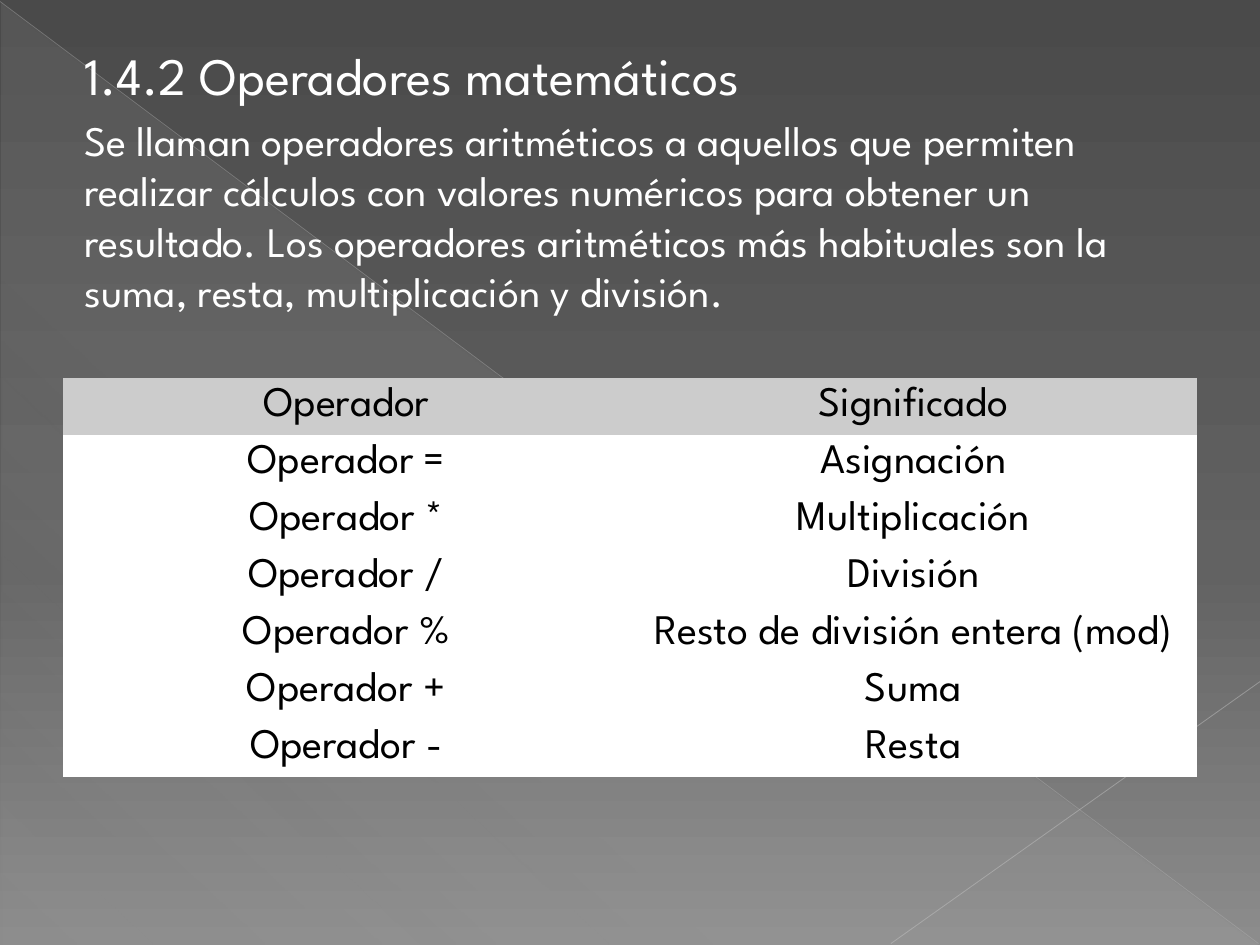
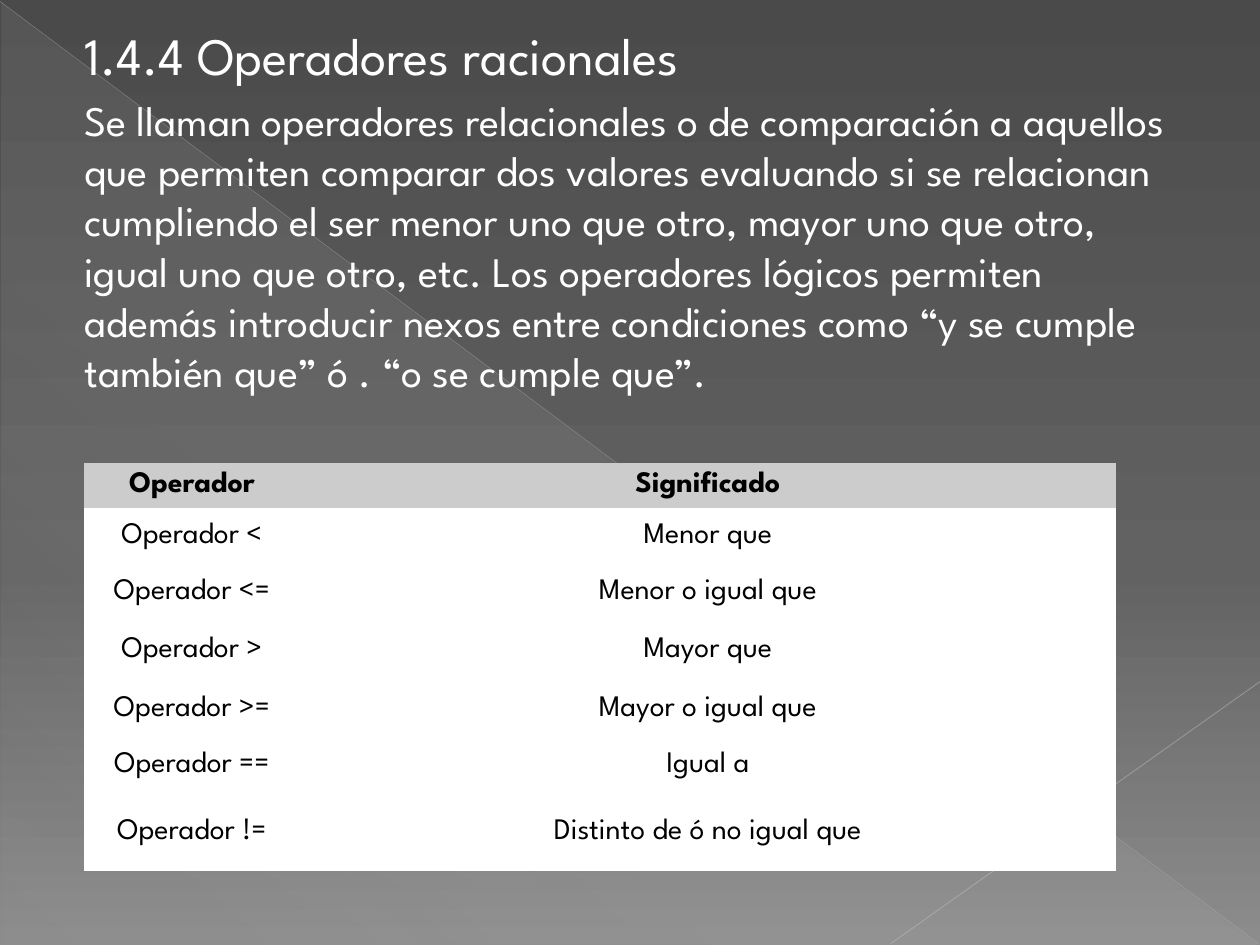
import pptx
import pptx.util
import pptx.dml.color
import pptx.enum.shapes
import pptx.enum.text
import pptx.oxml
import pptx.oxml.ns
from pptx.util import Cm, Pt

FONT = "League Spartan"
COLORS = {
    "text": "FFFFFF", "cell_text": "000000", "header": "CCCCCC", "cell": "FFFFFF",
    "triangle": "D2D2D2", "diagonal": "BFBFBF", "corner": "C6C6C6",
    "bg_top": "4A4A4A", "bg_middle": "626262", "bg_bottom": "8C8C8C",
}
BACKGROUND = [(0, "bg_top", 100), (60, "bg_middle", 100), (100, "bg_bottom", 100)]
TRIANGLE = [(0, "triangle", 10), (70, "triangle", 8), (100, "triangle", 1)]
LINES = [
    ((0, 0.03, 25.37, 19.02), "diagonal", 0.39, 35),
    ((25.4, 13.74, 17.96, 19.02), "corner", 0.47, 45),
]
NO_TABLE_STYLE = "{2D5ABB26-0587-4C30-8999-92F81FD0307C}"

SLIDES = [
    {
        "title": "1.4.2 Operadores matemáticos",
        "body": "Se llaman operadores aritméticos a aquellos que permiten realizar cálculos "
                "con valores numéricos para obtener un resultado. Los operadores aritméticos "
                "más habituales son la suma, resta, multiplicación y división.",
        "top": 0.74,
        "body_height": 5.2,
        "table_at": (1.27, 7.62),
        "cols": [11.43, 11.43],
        "row_heights": [1.15] * 7,
        "size": 24,
        "bold_header": False,
        "rows": [
            ("Operador", "Significado"),
            ("Operador =", "Asignación"),
            ("Operador *", "Multiplicación"),
            ("Operador /", "División"),
            ("Operador %", "Resto de división entera (mod)"),
            ("Operador +", "Suma"),
            ("Operador -", "Resta"),
        ],
    },
    {
        "title": "1.4.4 Operadores racionales",
        "body": "Se llaman operadores relacionales o de comparación a aquellos que permiten "
                "comparar dos valores evaluando si se relacionan cumpliendo el ser menor uno "
                "que otro, mayor uno que otro, igual uno que otro, etc. Los operadores lógicos "
                "permiten además introducir nexos entre condiciones como “y se cumple también "
                "que” ó . “o se cumple que”.",
        "top": 0.33,
        "body_height": 7.2,
        "table_at": (1.7, 9.33),
        "cols": [4.34, 16.46],
        "row_heights": [0.89, 1.13, 1.13, 1.24, 1.13, 1.13, 1.57],
        "size": 17,
        "bold_header": True,
        "rows": [
            ("Operador", "Significado"),
            ("Operador <", "Menor que"),
            ("Operador <=", "Menor o igual que"),
            ("Operador >", "Mayor que"),
            ("Operador >=", "Mayor o igual que"),
            ("Operador ==", "Igual a"),
            ("Operador !=", "Distinto de ó no igual que"),
        ],
    },
]


def rgb(name):
    return pptx.dml.color.RGBColor.from_string(COLORS[name])


def add_xml(parent, xml):
    start, rest = xml.split(" ", 1)
    parent.append(pptx.oxml.parse_xml(f"{start} {pptx.oxml.ns.nsdecls('a')} {rest}"))


def write(tf, text, size, color="text", bold=False, align="LEFT", spacing=None):
    p = tf.paragraphs[0]
    p.alignment = getattr(pptx.enum.text.PP_ALIGN, align)
    p.line_spacing = spacing
    r = p.add_run()
    r.text = text
    r.font.name = FONT
    r.font.size = Pt(size)
    r.font.bold = bold
    r.font.color.rgb = rgb(color)


def set_gradient(fill, element, stops, angle):
    fill.gradient()
    gs_list = element.xpath(".//a:gsLst")[0]
    for gs in list(gs_list):
        gs_list.remove(gs)
    for pos, color, alpha in stops:
        add_xml(gs_list, f'<a:gs pos="{pos * 1000}"><a:srgbClr val="{COLORS[color]}">'
                         f'<a:alpha val="{alpha * 1000}"/></a:srgbClr></a:gs>')
    element.xpath(".//a:lin")[0].set("ang", str(angle * 60000))


def decorate(s):
    set_gradient(s.background.fill, s.element, BACKGROUND, 90)
    sp = s.shapes.add_shape(pptx.enum.shapes.MSO_SHAPE.RIGHT_TRIANGLE,
                            Cm(0.03), Cm(0.05), Cm(25.35), Cm(19))
    sp.shadow.inherit = False
    sp.line.fill.background()
    set_gradient(sp.fill, sp.element, TRIANGLE, 133)
    for ends, color, width, alpha in LINES:
        line = s.shapes.add_connector(pptx.enum.shapes.MSO_CONNECTOR.STRAIGHT,
                                      *(Cm(v) for v in ends))
        line.line.width = Pt(width)
        line.line.color.rgb = rgb(color)
        add_xml(line.element.xpath(".//a:ln//a:srgbClr")[0],
                f'<a:alpha val="{alpha * 1000}"/>')
        add_xml(line.element.spPr, "<a:effectLst />")


def place_text(sp, text, top, height, size, spacing):
    sp.left, sp.top, sp.width, sp.height = Cm(1.27), Cm(top), Cm(22.86), Cm(height)
    tf = sp.text_frame
    tf.word_wrap = True
    tf.auto_size = pptx.enum.text.MSO_AUTO_SIZE.NONE
    tf.vertical_anchor = pptx.enum.text.MSO_ANCHOR.TOP
    tf.margin_left, tf.margin_right = Cm(0.43), Cm(0.25)
    tf.margin_top = tf.margin_bottom = Cm(0.13)
    write(tf, text, size, spacing=Pt(spacing))


def add_operator_table(s, data):
    left, top = data["table_at"]
    rows, cols, heights = data["rows"], data["cols"], data["row_heights"]
    frame = s.shapes.add_table(len(rows), len(cols), Cm(left), Cm(top),
                               Cm(sum(cols)), Cm(sum(heights)))
    frame.element.xpath(".//a:tableStyleId")[0].text = NO_TABLE_STYLE
    table = frame.table
    table.horz_banding = False
    for column, width in zip(table.columns, cols):
        column.width = Cm(width)
    for i, row in enumerate(rows):
        table.rows[i].height = Cm(heights[i])
        for cell, text in zip(table.rows[i].cells, row):
            cell.margin_left = cell.margin_right = Cm(0.18)
            cell.margin_top = cell.margin_bottom = Cm(0.18)
            cell.vertical_anchor = pptx.enum.text.MSO_ANCHOR.MIDDLE
            cell.fill.solid()
            cell.fill.fore_color.rgb = rgb("cell" if i else "header")
            write(cell.text_frame, text, data["size"], color="cell_text",
                  bold=data["bold_header"] and i == 0, align="CENTER")


def build_slide(prs, data):
    s = prs.slides.add_slide(prs.slide_layouts[5])
    decorate(s)
    title = s.shapes.title
    title.element.getparent().append(title.element)
    place_text(title, data["title"], data["top"], 1.45, 30, 36)
    body = s.shapes.add_textbox(0, 0, 0, 0)
    place_text(body, data["body"], data["top"] + 1.44, data["body_height"], 24, 28.75)
    add_operator_table(s, data)


def main():
    prs = pptx.Presentation()
    prs.slide_width, prs.slide_height = Cm(25.4), Cm(19.05)
    for data in SLIDES:
        build_slide(prs, data)
    prs.save("out.pptx")


if __name__ == "__main__":
    main()
